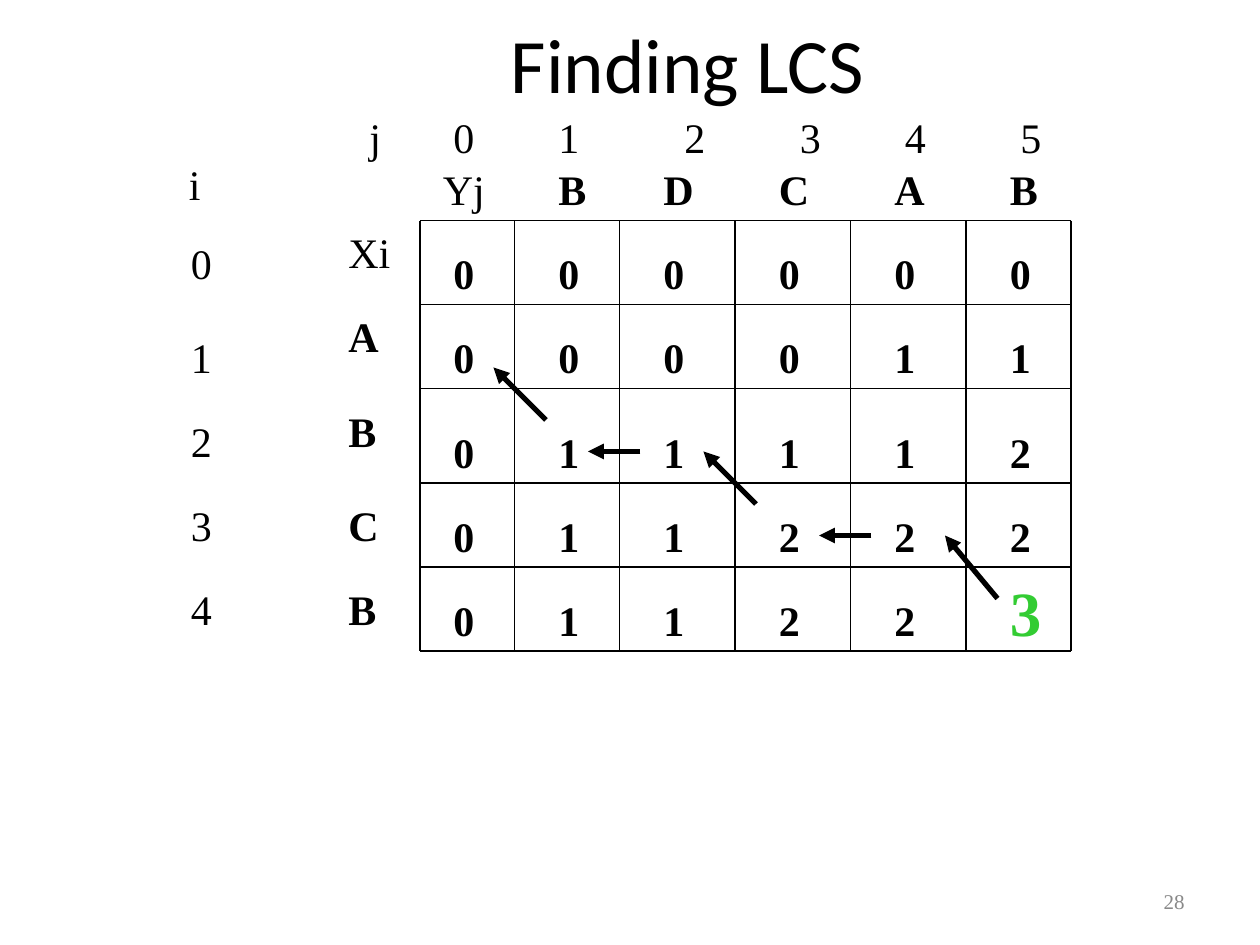
from pptx import Presentation
from pptx.dml.color import RGBColor
from pptx.enum.shapes import MSO_CONNECTOR
from pptx.enum.text import MSO_ANCHOR, MSO_AUTO_SIZE, PP_ALIGN
from pptx.oxml.ns import qn
from pptx.util import Inches, Pt
from lxml import etree

STRAIGHT = MSO_CONNECTOR.STRAIGHT
MIDDLE = MSO_ANCHOR.MIDDLE
GROW, FIXED = MSO_AUTO_SIZE.SHAPE_TO_FIT_TEXT, MSO_AUTO_SIZE.NONE
LEFT, CENTER, RIGHT = PP_ALIGN.LEFT, PP_ALIGN.CENTER, PP_ALIGN.RIGHT

BLACK = RGBColor(0x00, 0x00, 0x00)
GRAY = RGBColor(0x89, 0x89, 0x89)
GREEN = RGBColor(0x33, 0xCC, 0x33)

# Every place below is counted in grid units of a twelfth of an inch
UNITS_PER_INCH = 12
COLUMN_EDGES = [40, 49, 59, 70, 81, 92, 102]
ROW_EDGES = [21, 29, 37, 46, 54, 62]
VALUE_LEFTS = [42, 52, 62, 73, 84, 95]
VALUE_TOPS = [23, 31, 40, 48, 56]
INDEX_TOPS = [22, 31, 39, 47, 55]
SYMBOL_TOPS = [21, 29, 38, 47, 55]
INDEX_LEFT, SYMBOL_LEFT, HEADER_TOP = 17, 32, 15
INDEX_STOPS = [8, 18, 30, 41, 51, 62]

# Box widths that fit the text exactly
DIGIT_WIDTH = 4.4
WIDTHS = {"i": 3.5, "Xi": 6.4, "Yj": 6.4, "A": 5.3, "B": 5.0, "C": 5.3, "D": 5.3}

LENGTHS = ["000000", "000011", "011112", "011222", "01122"]
TRACE = [((95, 57), (90, 51)), ((83, 51), (78, 51)), ((72, 48), (67, 43)),
         ((61, 43), (56, 43)), ((52, 40), (47, 35))]


def units(count):
    return Inches(count / UNITS_PER_INCH)


class SlideBuilder:
    font_name = "Times New Roman"
    title_font = "Calibri"
    text_size = 24

    def __init__(self, slide):
        self.slide = slide

    def format(self, paragraph, name, size, color, bold=False, align=LEFT):
        paragraph.alignment = align
        font = paragraph.font
        font.name, font.size, font.bold = name, Pt(size), bold
        font.color.rgb = color

    def title(self, text, left, top, width, height):
        shape = self.slide.shapes.title
        shape.left, shape.top = units(left), units(top)
        shape.width, shape.height = units(width), units(height)
        frame = shape.text_frame
        frame.text = text
        frame.vertical_anchor = MIDDLE
        self.format(frame.paragraphs[0], self.title_font, 44, BLACK, align=CENTER)

    def box(self, text, left, top, width, height):
        shape = self.slide.shapes.add_textbox(
            units(left), units(top), units(width), units(height))
        shape.text_frame.text = text
        return shape.text_frame

    def label(self, text, left, top, bold=False, size=text_size, color=BLACK):
        scale = size / self.text_size
        width = WIDTHS.get(text, DIGIT_WIDTH) + (scale - 1) * 2
        frame = self.box(text, left, top, width, 6 + (scale - 1) * 4.8)
        frame.word_wrap = False
        frame.auto_size = GROW
        self.format(frame.paragraphs[0], self.font_name, size, color, bold)

    def tabbed_row(self, entries, stops, left, top, width):
        frame = self.box("\t".join(entries), left, top, width, 6)
        frame.word_wrap = True
        frame.auto_size = GROW
        paragraph = frame.paragraphs[0]
        properties = paragraph._p.get_or_add_pPr()
        tab_list = etree.SubElement(properties, qn("a:tabLst"))
        for stop in stops:
            etree.SubElement(tab_list, qn("a:tab"), pos=str(units(stop)), algn="l")
        self.format(paragraph, self.font_name, self.text_size, BLACK)

    def page_number(self, text, left, top, width, height):
        frame = self.box(text, left, top, width, height)
        frame.word_wrap = True
        frame.auto_size = FIXED
        frame.vertical_anchor = MIDDLE
        self.format(frame.paragraphs[0], self.font_name, 12, GRAY, align=RIGHT)

    def line(self, start, end, weight=0.75, arrow=False):
        connector = self.slide.shapes.add_connector(
            STRAIGHT, *(units(value) for value in (*start, *end)))
        connector.line.color.rgb = BLACK
        connector.line.width = Pt(weight)
        if arrow:
            outline = connector.line._get_or_add_ln()
            etree.SubElement(outline, qn("a:tailEnd"), type="triangle")
        etree.SubElement(connector._element.spPr, qn("a:effectLst"))


def main():
    presentation = Presentation()
    presentation.slide_width, presentation.slide_height = Inches(10), Inches(7.5)
    title_only = presentation.slide_layouts[5]
    builder = SlideBuilder(presentation.slides.add_slide(title_only))

    builder.title("Finding LCS", 11, 0, 109, 12)
    builder.page_number("28", 86, 83.4, 28, 4.8)

    # Grid lines
    for x in COLUMN_EDGES:
        builder.line((x, ROW_EDGES[0]), (x, ROW_EDGES[-1]))
    for y in ROW_EDGES:
        builder.line((COLUMN_EDGES[0], y), (COLUMN_EDGES[-1], y))

    # Column headings
    builder.tabbed_row("j012345", INDEX_STOPS, 34, 10, 67.5)
    builder.label("Yj", 41, HEADER_TOP)
    for symbol, left in zip("BDCAB", VALUE_LEFTS[1:]):
        builder.label(symbol, left, HEADER_TOP, bold=True)

    # Row headings
    builder.label("i", 16.8, 14.5)
    for index, top in enumerate(INDEX_TOPS):
        builder.label(str(index), INDEX_LEFT, top)
    for symbol, top in zip(["Xi", *"ABCB"], SYMBOL_TOPS):
        builder.label(symbol, SYMBOL_LEFT, top, bold=symbol != "Xi")

    # Subsequence lengths, with the answer in the last cell
    for row, top in zip(LENGTHS, VALUE_TOPS):
        for value, left in zip(row, VALUE_LEFTS):
            builder.label(value, left, top, bold=True)
    builder.label("3", VALUE_LEFTS[-1], ROW_EDGES[-2], True, 36, GREEN)

    # Trace back from the answer
    for start, end in TRACE:
        builder.line(start, end, weight=3, arrow=True)

    presentation.save("out.pptx")


if __name__ == "__main__":
    main()
